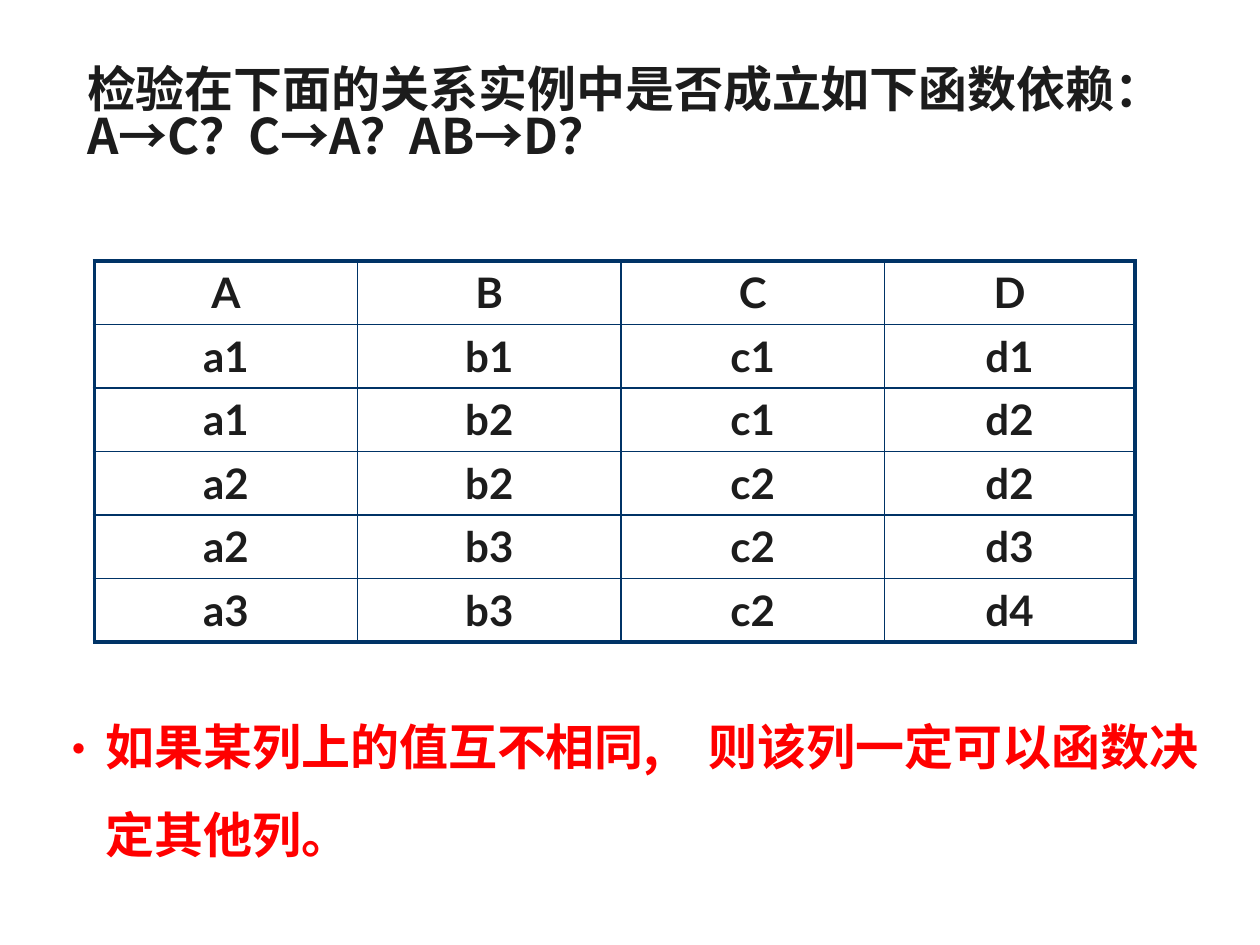
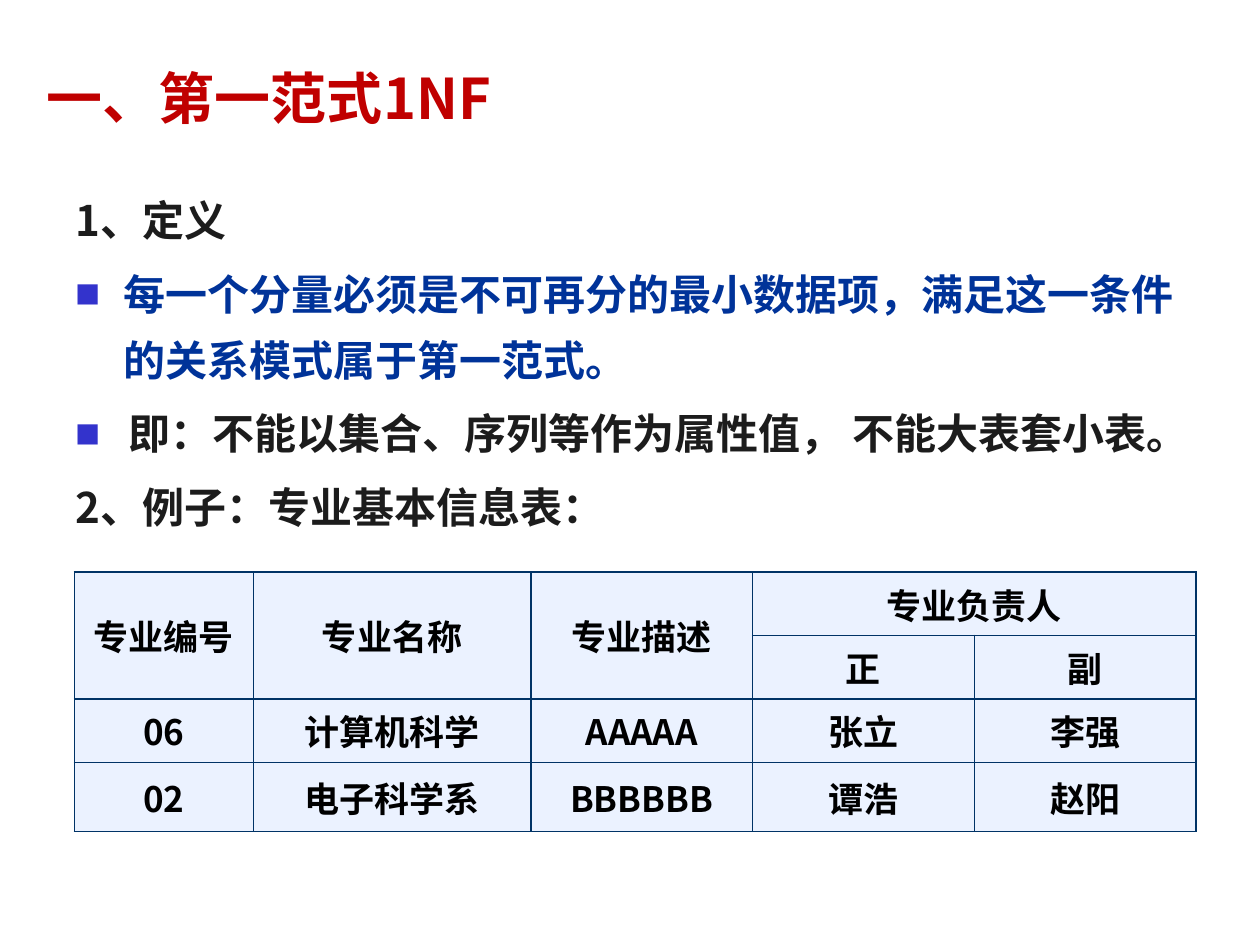
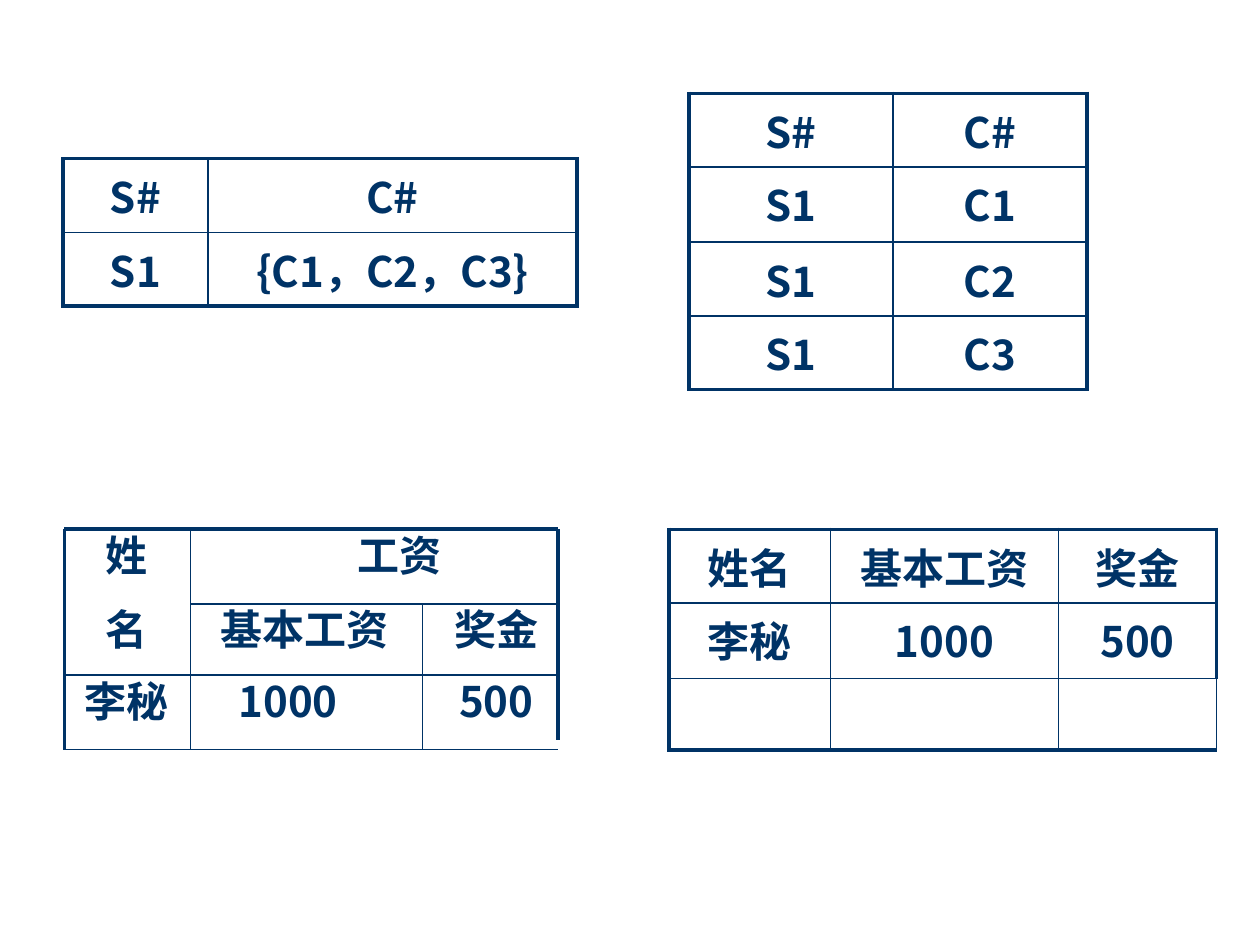
from lxml.etree import SubElement as Sub
from pptx import Presentation
from pptx.dml.color import RGBColor as Rgb
from pptx.enum.shapes import MSO_CONNECTOR as Link
from pptx.enum.text import MSO_ANCHOR as Anchor, MSO_AUTO_SIZE as Auto, PP_ALIGN as Align
from pptx.oxml.ns import qn
from pptx.util import Cm, Pt

HUE = {"ink": "1C1C1C", "navy": "003366", "red": "FF0000", "title": "C00000",
       "blue": "003399", "mark": "3333CC", "pale": "EBF2FF", "black": "000000"}
NOTO, LATO = "Noto Sans CJK SC", "Lato"
THICK, THIN = 2.25, 1

ASK = [dict(text="检验在下面的关系实例中是否成立如下函数依赖：A→C？C→A？AB→D？",
            hue="ink", lead=0.8)]
RULE = [dict(text="如果某列上的值互不相同,　则该列一定可以函数决定其他列。",
             hue="red", lead=1.5, hang=1.04, mark=("•", "red", 100))]
HEAD = [dict(text="一、第一范式1NF", hue="title")]
BOX = ("■", "mark", 60)
NOTES = [
    dict(text="1、定义", hue="ink", lead=1.3),
    dict(text="每一个分量必须是不可再分的最小数据项，满足这一条件的关系模式属于第一范式。",
         hue="blue", lead=1.3, gap=4.8, hang=0.97, mark=BOX),
    dict(text="即：不能以集合、序列等作为属性值， 不能大表套小表。",
         hue="ink", lead=1.3, gap=4.8, hang=1.07, mark=BOX),
    dict(text="2、例子：专业基本信息表：", hue="ink", lead=1.3, gap=4.8, hang=1.07),
]

FACTS = dict(
    at=(1.9, 5.26), cols=[5.31] * 3 + [5.05], rows=[1.28] * 6, font=LATO, hue="ink",
    data=["A B C D".split(), "a1 b1 c1 d1".split(), "a1 b2 c1 d2".split(),
          "a2 b2 c2 d2".split(), "a2 b3 c2 d3".split(), "a3 b3 c2 d4".split()])
MAJORS = dict(
    at=(1.5, 11.53), cols=[3.61, 5.59] + [4.47] * 3, rows=[1.27] * 3 + [1.4],
    size=20, hue="black", fill="pale", rim=THIN, anchor=Anchor.MIDDLE,
    spans=[(0, 0, 1, 0), (0, 1, 1, 1), (0, 2, 1, 2), (0, 3, 0, 4)],
    data=[["专业编号", "专业名称", "专业描述", "专业负责人", ""],
          ["", "", "", "正", "副"],
          ["06", "计算机科学", "AAAAA", "张立", "李强"],
          ["02", "电子科学系", "BBBBBB", "谭浩", "赵阳"]])
FORMS = [
    dict(at=(1.27, 3.2), cols=[2.92, 7.44], rows=[1.45] * 2,
         data=[["S#", "C#"], ["S1", "{C1，C2，C3}"]]),
    dict(at=(13.89, 1.88), cols=[4.11, 3.91], rows=[1.45, 1.52, 1.45, 1.45],
         data=[["S#", "C#"], ["S1", "C1"], ["S1", "C2"], ["S1", "C3"]]),
    dict(at=(13.49, 10.67), cols=[3.25, 4.6, 3.18], rows=[1.45, 1.52, 1.45],
         slim=[(2, 2, "R")],
         data=[["姓名", "基本工资", "奖金"], ["李秘", "1000", "500"], ["", "", ""]]),
]

LEFT, NAME, BONUS, RIGHT = 1.3, 3.84, 8.51, 11.25
TOP, MID, LOW, END = 10.67, 12.17, 13.61, 15.11
PAY = [
    ("姓", LEFT, TOP, 2.49), ("工资", 4.85, TOP, 6.4),
    ("名", LEFT, MID, 2.49), ("基本工资", 3.78, MID, 4.7), ("奖金", 8.76, MID, 2.49),
    ("李秘", LEFT, LOW, 2.49), ("1000", 3.78, LOW, 4.06), ("500", 8.76, LOW, 2.49),
]
LINES = [
    (LEFT, TOP, RIGHT, TOP, THICK), (NAME, MID, RIGHT, MID, THIN),
    (LEFT, LOW, RIGHT, LOW, THIN), (LEFT, END, RIGHT, END, THIN),
    (LEFT, TOP, LEFT, END, THICK), (RIGHT, TOP, RIGHT, 14.91, THICK),
    (BONUS, MID, BONUS, END, 0.75), (NAME, TOP, NAME, END, 0.75),
]


def style(para, size, hue, font=NOTO):
    for run in para.runs:
        run.font.size, run.font.bold, run.font.name = Pt(size), True, font
        run.font.color.rgb = Rgb.from_string(HUE[hue])
        Sub(run._r.get_or_add_rPr(), qn("a:ea"), typeface=font)


def mark_up(para, hang, mark):
    props = para._p.get_or_add_pPr()
    props.set("marL", str(Cm(hang)))
    props.set("indent", str(-Cm(hang)))
    if not mark:
        Sub(props, qn("a:buNone"))
        return
    char, hue, size = mark
    Sub(Sub(props, qn("a:buClr")), qn("a:srgbClr"), val=HUE[hue])
    Sub(props, qn("a:buSzPct"), val=str(size * 1000))
    Sub(props, qn("a:buFont"), typeface=NOTO)
    Sub(props, qn("a:buChar"), char=char)


def write(shape, at, items, size, inset=0.13, anchor=Anchor.TOP):
    shape.left, shape.top, shape.width, shape.height = map(Cm, at)
    frame = shape.text_frame
    frame.word_wrap, frame.auto_size = True, Auto.NONE
    frame.vertical_anchor, frame.margin_top = anchor, Cm(inset)
    frame.text = "\n".join(item["text"] for item in items)
    for para, item in zip(frame.paragraphs, items):
        mark_up(para, item.get("hang", 0), item.get("mark"))
        para.alignment = item.get("align", Align.LEFT)
        para.line_spacing = item.get("lead", 1.0)
        para.space_before = Pt(item.get("gap", 0))
        style(para, size, item["hue"])


def edge(cell, side, width):
    line = Sub(cell._tc.get_or_add_tcPr(), qn("a:ln" + side), w=str(Pt(width)))
    Sub(Sub(line, qn("a:solidFill")), qn("a:srgbClr"), val=HUE["navy"])


def grid(slide, at, cols, rows, data, size=24, font=NOTO, hue="navy", fill=None,
         rim=THICK, anchor=Anchor.TOP, spans=(), slim=()):
    area = map(Cm, (*at, sum(cols), sum(rows)))
    table = slide.shapes.add_table(len(rows), len(cols), *area).table
    table.first_row = table.horz_banding = False
    for col, width in zip(table.columns, cols):
        col.width = Cm(width)
    for row, height in zip(table.rows, rows):
        row.height = Cm(height)
    for r, line in enumerate(data):
        for c, text in enumerate(line):
            cell = table.cell(r, c)
            outer = {"L": c == 0, "R": c == len(cols) - 1,
                     "T": r == 0, "B": r == len(rows) - 1}
            for side, far in outer.items():
                edge(cell, side, rim if far and (r, c, side) not in slim else THIN)
            if fill:
                cell.fill.solid()
                cell.fill.fore_color.rgb = Rgb.from_string(HUE[fill])
            else:
                cell.fill.background()
            cell.vertical_anchor = anchor
            cell.text_frame.text = text
            para = cell.text_frame.paragraphs[0]
            para.alignment = Align.CENTER
            style(para, size, hue, font)
    for r, c, low, far in spans:
        table.cell(r, c).merge(table.cell(low, far))


def rule(shapes, x, y, far, low, width):
    line = shapes.add_connector(Link.STRAIGHT, *map(Cm, (x, y, far, low)))
    line.line.color.rgb = Rgb.from_string(HUE["navy"])
    line.line.width = Pt(width)
    Sub(line._element.spPr, qn("a:effectLst"))


def test_slide(deck):
    slide = deck.slides.add_slide(deck.slide_layouts[1])
    title = slide.shapes.title._element
    title.getparent().remove(title)
    write(slide.placeholders[1], (1.5, 1.12, 23.01, 3), ASK, 28, inset=0.29)
    grid(slide, **FACTS)
    at = (0.84, 13.72, 23.7, 3.63)
    write(slide.shapes.add_textbox(*map(Cm, at)), at, RULE, 28)


def norm_slide(deck):
    slide = deck.slides.add_slide(deck.slide_layouts[1])
    write(slide.shapes.title, (0.69, 0.36, 21.64, 3.18), HEAD, 32, anchor=Anchor.MIDDLE)
    write(slide.placeholders[1], (1.27, 3.33, 23.04, 7.01), NOTES, 24, inset=0.29)
    grid(slide, **MAJORS)


def form_slide(deck):
    slide = deck.slides.add_slide(deck.slide_layouts[6])
    for form in FORMS:
        grid(slide, **form)
    shapes = slide.shapes.add_group_shape().shapes
    for text, x, y, width in PAY:
        at = (x, y, width, 1.45)
        item = dict(text=text, hue="navy", align=Align.CENTER)
        write(shapes.add_textbox(*map(Cm, at)), at, [item], 24, inset=0)
    for line in LINES:
        rule(shapes, *line)


def main():
    deck = Presentation()
    deck.slide_width, deck.slide_height = Cm(25.4), Cm(19.05)
    for build in (test_slide, norm_slide, form_slide):
        build(deck)
    deck.save("out.pptx")


if __name__ == "__main__":
    main()
